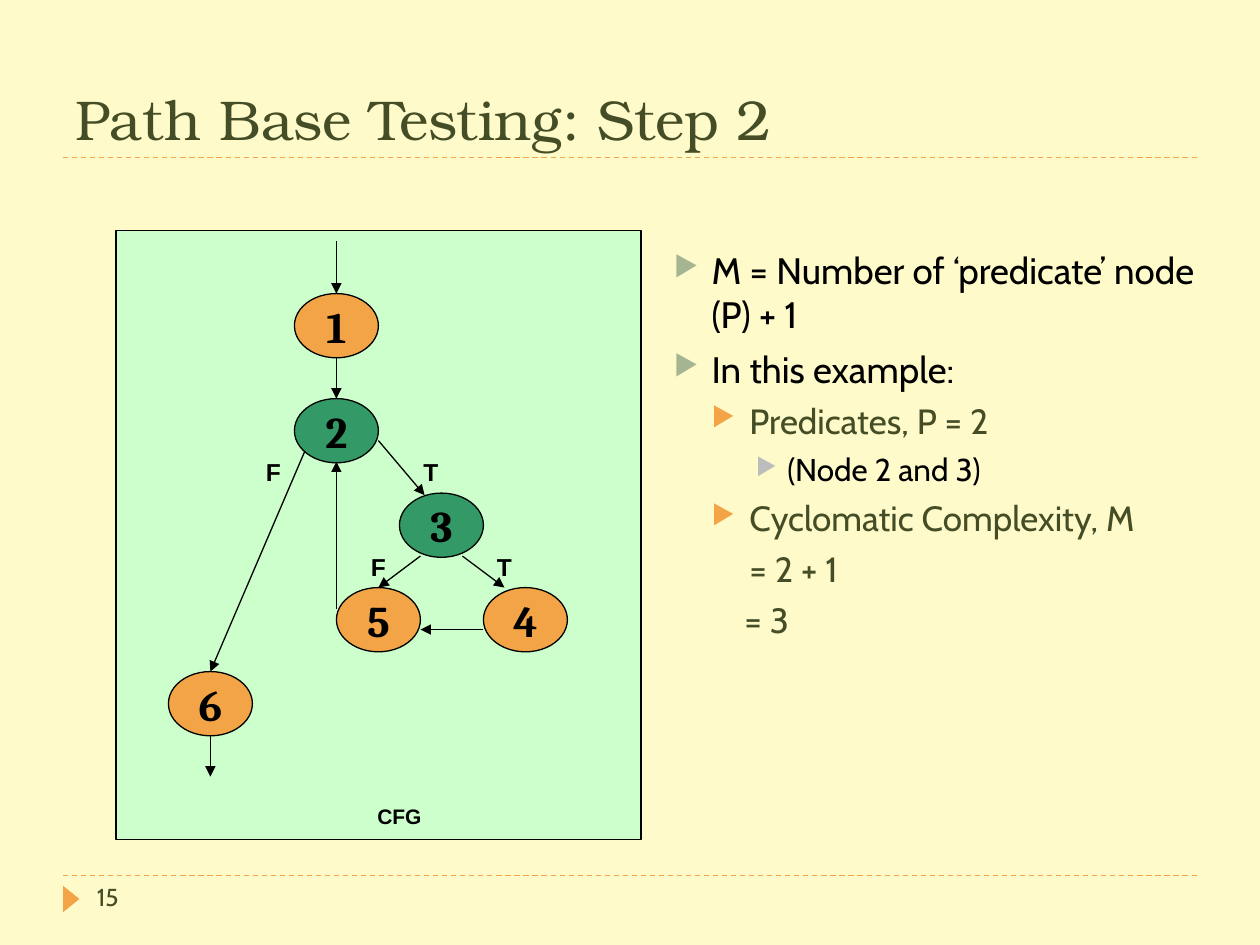
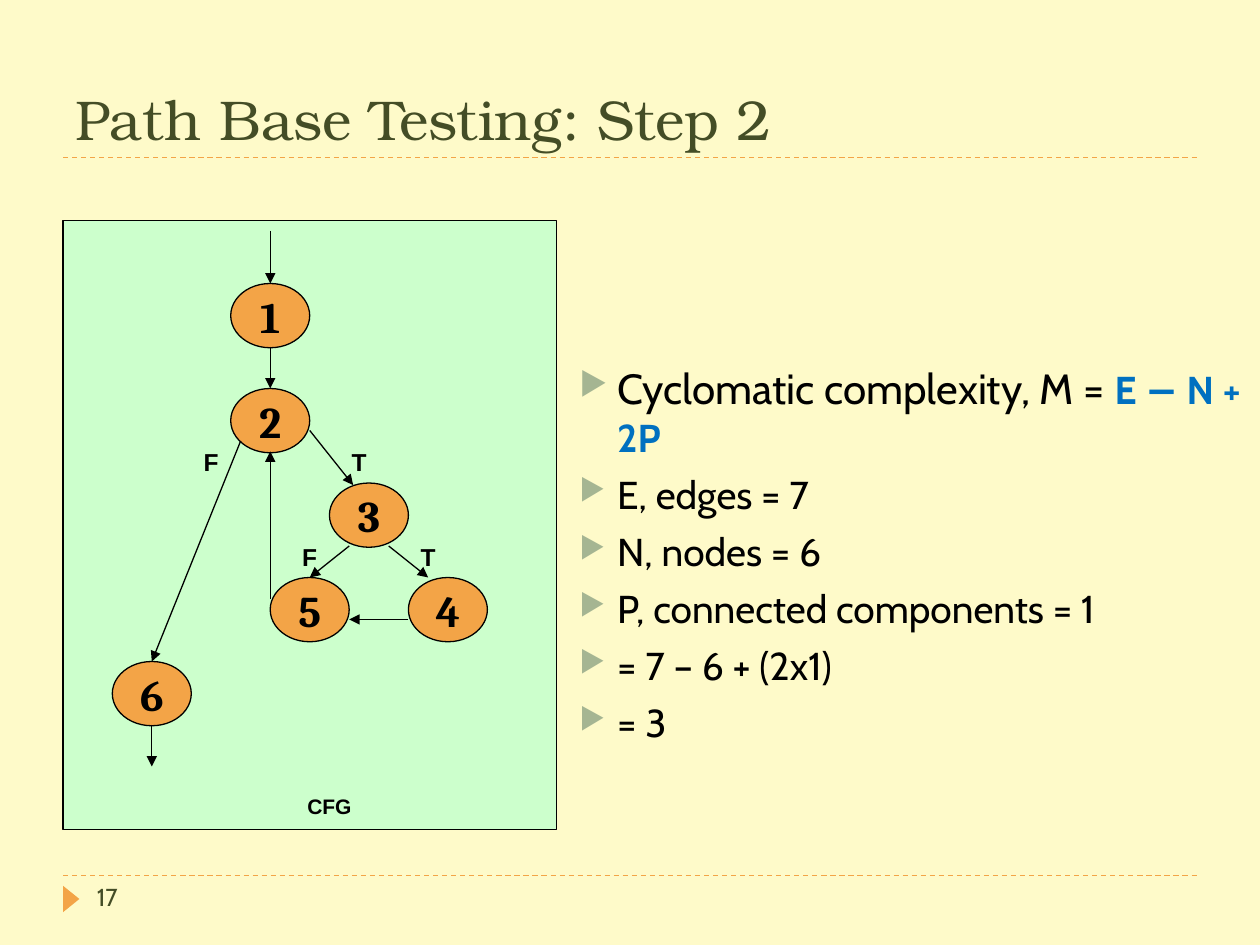
from lxml.etree import SubElement
from pptx import Presentation
from pptx.dml.color import RGBColor
from pptx.enum.dml import MSO_LINE
from pptx.enum.shapes import MSO_CONNECTOR, MSO_SHAPE
from pptx.enum.text import MSO_ANCHOR, PP_ALIGN
from pptx.oxml.ns import qn
from pptx.util import Inches, Pt

color = RGBColor.from_string
CREAM, ORANGE, OLIVE, BLACK = "FEFAC9", "F3A447", "444D26", "000000"
MINT, GREEN, SAGE, GRAY, BLUE = "CCFFCC", "339966", "A5B592", "BDBDBD", "0070C0"

# Flow graph in cells of 1/12 inch, measured from the corner of its frame
CELL = 1 / 12
FRAME_SIZE = (50, 58)
NODE_WIDTH, NODE_HEIGHT = 8, 0.51
NODES = {1: (17, 6), 2: (17, 16), 3: (27, 25), 4: (35, 34), 5: (21, 34), 6: (5, 42)}
# start, end, node whose top the arrow meets
EDGES = [
    ((21, 1), (21, 6), 1),
    ((21, 12), (21, 16), 2),
    ((25, 20), (29.4, 25.2), None),
    ((29, 31), (25, 34), 5),
    ((33, 31), (37, 34), None),
    ((18, 21), (9, 42), 6),
    ((9, 48), (9, 52), None),
    ((35, 38), (29, 38), None),
    ((21, 36), (21, 22), None),
]
# text, left, top, width, height in inches, size
LABELS = [
    ("CFG", 23, 54, 8, 0.3, 12),
    ("T", 27, 21, 6, 0.33, 14),
    ("F", 12, 21, 6, 0.33, 14),
    ("T", 34, 30, 6, 0.33, 14),
    ("F", 22, 30, 6, 0.33, 14),
]

# margin, indent, space before, bullet colour
POINT = (0.3, -0.3, 6, SAGE)
DETAIL = (0.6, -0.3, 5, ORANGE)
NOTE = (0.9, -0.25, 5, GRAY)
STEP = (0.6, 0, 5, None)
RESULT = (0.56, 0, 5, None)

SLIDES = [
    {
        "number": "15", "origin": (0.92, 1.83), "stretch": 1, "predicates": (2, 3),
        "body": (5.25, 1.92, 4.33, 4.75),
        "lines": [
            (POINT, [("M = Number of ‘predicate’ node (P) + 1", 21, BLACK, False)]),
            (POINT, [("In this example:", 21, BLACK, False)]),
            (DETAIL, [("Predicates, P = 2", 20, OLIVE, False)]),
            (NOTE, [("(Node 2 and 3)", 18, BLACK, False)]),
            (DETAIL, [("Cyclomatic Complexity, M", 20, OLIVE, False)]),
            (STEP, [("= 2 + 1", 20, OLIVE, False)]),
            (RESULT, [("= 3", 20, OLIVE, False)]),
        ],
    },
    {
        "number": "17", "origin": (0.5, 1.75), "stretch": 0.94, "predicates": (),
        "body": (4.5, 2.83, 5.5, 2.75),
        "lines": [
            (POINT, [("Cyclomatic complexity, M = ", 24.1, BLACK, False),
                     ("E − N + 2P", 22.2, BLUE, True)]),
            *[(POINT, [(text, 22.2, BLACK, False)]) for text in (
                "E, edges = 7", "N, nodes = 6", "P, connected components = 1",
                "= 7 – 6 + (2x1)", "= 3")],
        ],
    },
]


def add_line(page, start, end, ink):
    line = page.shapes.add_connector(
        MSO_CONNECTOR.STRAIGHT, *[Inches(value) for value in (*start, *end)])
    line.line.color.rgb = color(ink)
    line.line.width = Pt(0.75)
    SubElement(line._element.spPr, qn("a:effectLst"))
    return line


def add_span(para, text, size, font, ink, bold=False):
    span = para.add_run()
    span.text = text
    span.font.size = Pt(size)
    span.font.name = font
    span.font.bold = bold
    span.font.color.rgb = color(ink)


deck = Presentation()
deck.slide_width, deck.slide_height = Inches(10), Inches(7.5)

for content in SLIDES:
    page = deck.slides.add_slide(deck.slide_layouts[6])
    page.background.fill.solid()
    page.background.fill.fore_color.rgb = color(CREAM)

    # Rules, page marker, title and page number
    for top in (6.95, 1.25):
        rule = add_line(page, (0.5, top), (9.5, top), ORANGE)
        rule.line.dash_style = MSO_LINE.DASH
    marker = page.shapes.add_shape(MSO_SHAPE.ISOSCELES_TRIANGLE, Inches(0.46),
                                   Inches(7.07), Inches(0.21), Inches(0.13))
    marker.rotation = 90
    marker.shadow.inherit = False
    marker.fill.solid()
    marker.fill.fore_color.rgb = color(ORANGE)
    marker.line.fill.background()
    for text, place, size, font, anchor in (
        ("Path Base Testing: Step 2", (0.5, 0.17, 9, 1.08), 32, "TeX Gyre Bonum",
         MSO_ANCHOR.BOTTOM),
        (content["number"], (0.67, 6.95, 2.17, 0.4), 14, "Cabin", MSO_ANCHOR.TOP),
    ):
        box = page.shapes.add_textbox(*[Inches(value) for value in place])
        box.text_frame.word_wrap = True
        box.text_frame.vertical_anchor = anchor
        add_span(box.text_frame.paragraphs[0], text, size, font, OLIVE)

    # Flow graph
    left, top = content["origin"]
    cell_width = CELL * content["stretch"]
    frame = page.shapes.add_shape(
        MSO_SHAPE.RECTANGLE, Inches(left), Inches(top),
        Inches(FRAME_SIZE[0] * cell_width), Inches(FRAME_SIZE[1] * CELL))
    frame.shadow.inherit = False
    frame.fill.solid()
    frame.fill.fore_color.rgb = color(MINT)
    frame.line.color.rgb = color(BLACK)
    frame.line.width = Pt(1)

    ovals = {}
    for number, (column, row) in NODES.items():
        oval = page.shapes.add_shape(
            MSO_SHAPE.OVAL, Inches(left + column * cell_width), Inches(top + row * CELL),
            Inches(NODE_WIDTH * cell_width), Inches(NODE_HEIGHT))
        oval.shadow.inherit = False
        oval.fill.solid()
        oval.fill.fore_color.rgb = color(GREEN if number in content["predicates"] else ORANGE)
        oval.line.color.rgb = color(BLACK)
        oval.line.width = Pt(0.75)
        oval.text_frame.word_wrap = False
        oval.text_frame.vertical_anchor = MSO_ANCHOR.MIDDLE
        para = oval.text_frame.paragraphs[0]
        para.alignment = PP_ALIGN.CENTER
        add_span(para, str(number), 25, "Cambria", BLACK, True)
        ovals[number] = oval

    for start, end, target in EDGES:
        ends = [(left + column * cell_width, top + row * CELL) for column, row in (start, end)]
        arrow = add_line(page, *ends, BLACK)
        SubElement(arrow.line._get_or_add_ln(), qn("a:tailEnd"), type="triangle")
        if target:
            arrow.end_connect(ovals[target], 0)

    for text, column, row, width, height, size in LABELS:
        label = page.shapes.add_textbox(
            Inches(left + column * cell_width), Inches(top + row * CELL),
            Inches(width * cell_width), Inches(height))
        label.text_frame.word_wrap = True
        para = label.text_frame.paragraphs[0]
        para.alignment = PP_ALIGN.CENTER
        add_span(para, text, size, "Arial", BLACK, True)

    # Explanation beside the graph
    body = page.shapes.add_textbox(*[Inches(value) for value in content["body"]])
    body.text_frame.word_wrap = True
    for index, ((margin, indent, space, bullet), spans) in enumerate(content["lines"]):
        para = body.text_frame.add_paragraph() if index else body.text_frame.paragraphs[0]
        if index:
            para.space_before = Pt(space)
        properties = para._p.get_or_add_pPr()
        properties.set("marL", str(Inches(margin)))
        properties.set("indent", str(Inches(indent)))
        if bullet:
            tint = SubElement(properties, qn("a:buClr"))
            SubElement(tint, qn("a:srgbClr"), val=bullet)
            SubElement(properties, qn("a:buSzPct"), val="76000")
            SubElement(properties, qn("a:buChar"), char="▶")
        for text, size, ink, bold in spans:
            add_span(para, text, size, "Cabin", ink, bold)

deck.save("out.pptx")
